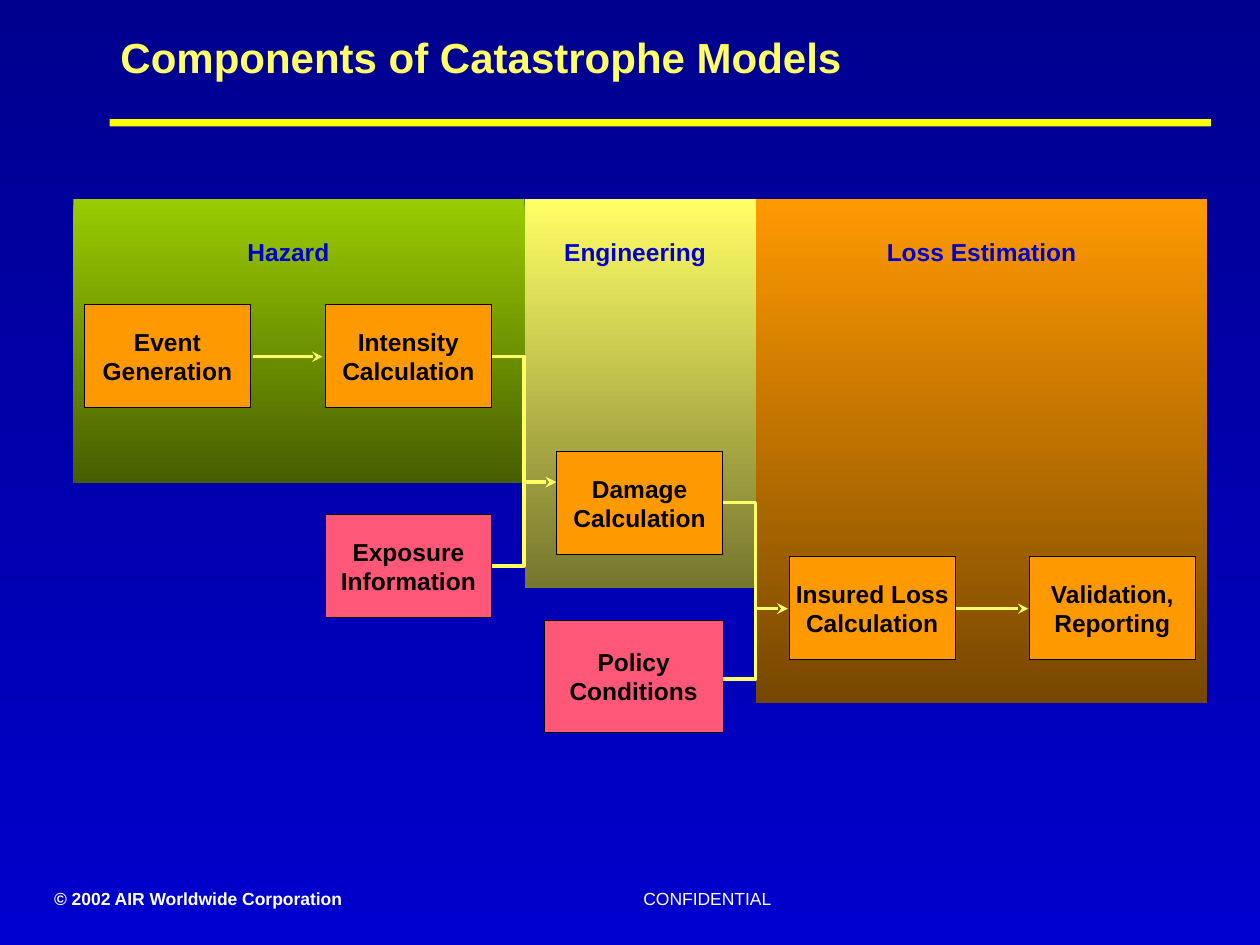
from typing import NamedTuple

from lxml.etree import SubElement
from pptx import Presentation
from pptx.dml.color import RGBColor
from pptx.enum.shapes import MSO_CONNECTOR, MSO_SHAPE
from pptx.enum.text import MSO_ANCHOR, PP_ALIGN
from pptx.oxml.ns import qn
from pptx.util import Cm, Pt

NAVY = RGBColor(0x00, 0x00, 0x8E)
BLUE = RGBColor(0x00, 0x00, 0xCC)
YELLOW = RGBColor(0xFF, 0xFF, 0x00)
PALE_YELLOW = RGBColor(0xFF, 0xFF, 0x66)
OLIVE = RGBColor(0x76, 0x76, 0x2F)
LIME = RGBColor(0x99, 0xCC, 0x00)
DARK_GREEN = RGBColor(0x47, 0x5E, 0x00)
ORANGE = RGBColor(0xFF, 0x99, 0x00)
BROWN = RGBColor(0x76, 0x47, 0x00)
PINK = RGBColor(0xFF, 0x57, 0x77)
BLACK = RGBColor(0x00, 0x00, 0x00)
WHITE = RGBColor(0xFF, 0xFF, 0xFF)

FONT = "Arial"
STEP_WIDTH, STEP_HEIGHT = 3.35, 2.08
PANEL_TOP = 4.02
HEADING_TOP, HEADING_HEIGHT = 4.65, 0.86
FOOTER_TOP, FOOTER_HEIGHT = 17.78, 0.69


class Panel(NamedTuple):
    left: float
    width: float
    height: float
    upper: RGBColor
    lower: RGBColor


class Step(NamedTuple):
    lines: tuple[str, ...]
    left: float
    top: float
    color: RGBColor = ORANGE
    width: float = STEP_WIDTH
    height: float = STEP_HEIGHT


class Label(NamedTuple):
    text: str
    left: float
    top: float
    width: float
    height: float
    size: float
    color: RGBColor
    bold: bool = True
    align: PP_ALIGN = PP_ALIGN.LEFT
    anchor: MSO_ANCHOR = MSO_ANCHOR.TOP


class Flow(NamedTuple):
    start_x: float
    start_y: float
    end_x: float
    end_y: float


PANELS = (
    Panel(15.24, 9.1, 10.16, ORANGE, BROWN),
    Panel(1.48, 9.1, 5.72, LIME, DARK_GREEN),
    Panel(10.58, 4.66, 7.83, PALE_YELLOW, OLIVE),
)
STEPS = (
    Step(("Event", "Generation"), 1.7, 6.14),
    Step(("Intensity", "Calculation"), 6.56, 6.14),
    Step(("Exposure", "Information"), 6.56, 10.37, PINK),
    Step(("Damage", "Calculation"), 11.22, 9.1),
    Step(("Policy", "Conditions"), 10.97, 12.5, PINK, 3.61, 2.27),
    Step(("Insured Loss", "Calculation"), 15.91, 11.22),
    Step(("Validation,", "Reporting"), 20.75, 11.22),
)
STRAIGHT_FLOWS = (
    Flow(5.1, 7.19, 6.5, 7.19),
    Flow(19.28, 12.27, 20.73, 12.27),
)
BENT_FLOWS = (
    Flow(14.58, 13.69, 15.88, 12.27),
    Flow(14.58, 10.13, 15.88, 12.27),
    Flow(9.91, 11.41, 11.21, 9.72),
    Flow(9.91, 7.19, 11.21, 9.72),
)
HEADINGS = (("Engineering", 11.0, 3.61), ("Hazard", 4.01, 3.61), ("Loss Estimation", 15.88, 7.82))
LABELS = (
    Label("© 2002 AIR Worldwide Corporation", 0.84, FOOTER_TOP, 6.63, FOOTER_HEIGHT, 10, WHITE),
    Label("CONFIDENTIAL", 12.51, FOOTER_TOP, 3.5, FOOTER_HEIGHT, 10, WHITE,
          bold=False, align=PP_ALIGN.CENTER),
    Label("Components of Catastrophe Models", 2.18, 0, 22.38, 2.29, 24, PALE_YELLOW,
          anchor=MSO_ANCHOR.MIDDLE),
) + tuple(
    Label(text, left, HEADING_TOP, width, HEADING_HEIGHT, 14, BLUE, align=PP_ALIGN.CENTER)
    for text, left, width in HEADINGS
)


def fill_gradient(fill, upper: RGBColor, lower: RGBColor) -> None:
    fill.gradient()
    fill.gradient_angle = 270
    for stop, position, color in zip(fill.gradient_stops, (0, 1), (upper, lower)):
        stop.position = position
        stop.color.rgb = color


def add_rectangle(page, left: float, top: float, width: float, height: float):
    box = page.shapes.add_shape(MSO_SHAPE.RECTANGLE, Cm(left), Cm(top), Cm(width), Cm(height))
    box.shadow.inherit = False
    box.line.fill.background()
    return box


def write_span(para, text: str, size: float, color: RGBColor, bold: bool) -> None:
    span = para.add_run()
    span.text = text
    span.font.name = FONT
    span.font.size = Pt(size)
    span.font.bold = bold
    span.font.color.rgb = color


def draw_rule(page) -> None:
    rule = add_rectangle(page, 2.21, 2.4, 22.2, 0.15)
    rule.fill.solid()
    rule.fill.fore_color.rgb = YELLOW


def draw_panel(page, panel: Panel) -> None:
    box = add_rectangle(page, panel.left, PANEL_TOP, panel.width, panel.height)
    fill_gradient(box.fill, panel.upper, panel.lower)


def draw_step(page, step: Step) -> None:
    box = add_rectangle(page, step.left, step.top, step.width, step.height)
    box.fill.solid()
    box.fill.fore_color.rgb = step.color
    box.line.color.rgb = BLACK
    box.line.width = Pt(0.25)
    frame = box.text_frame
    frame.word_wrap = False
    frame.vertical_anchor = MSO_ANCHOR.MIDDLE
    for index, line in enumerate(step.lines):
        para = frame.add_paragraph() if index else frame.paragraphs[0]
        para.alignment = PP_ALIGN.CENTER
        write_span(para, line, 14, BLACK, True)


def draw_label(page, label: Label) -> None:
    box = page.shapes.add_textbox(Cm(label.left), Cm(label.top), Cm(label.width), Cm(label.height))
    frame = box.text_frame
    frame.word_wrap = True
    frame.vertical_anchor = label.anchor
    para = frame.paragraphs[0]
    para.alignment = label.align
    write_span(para, label.text, label.size, label.color, label.bold)


def style_arrow(line) -> None:
    line.color.rgb = PALE_YELLOW
    line.width = Pt(2)
    SubElement(line._get_or_add_ln(), qn("a:tailEnd"), type="stealth")


def draw_straight_flow(page, flow: Flow) -> None:
    arrow = page.shapes.add_connector(MSO_CONNECTOR.STRAIGHT, *(Cm(value) for value in flow))
    style_arrow(arrow.line)
    SubElement(arrow._element.spPr, qn("a:effectLst"))


def draw_bent_flow(page, flow: Flow) -> None:
    start_x, start_y, end_x, end_y = (Cm(value) for value in flow)
    middle_x = (start_x + end_x) // 2
    builder = page.shapes.build_freeform(start_x, start_y)
    builder.add_line_segments(
        [(middle_x, start_y), (middle_x, end_y), (end_x, end_y)], close=False
    )
    arrow = builder.convert_to_shape()
    arrow.shadow.inherit = False
    arrow.fill.background()
    style_arrow(arrow.line)


def main() -> None:
    deck = Presentation()
    deck.slide_width, deck.slide_height = Cm(25.4), Cm(19.05)
    page = deck.slides.add_slide(deck.slide_layouts[6])
    fill_gradient(page.background.fill, NAVY, BLUE)
    draw_rule(page)
    for panel in PANELS:
        draw_panel(page, panel)
    for step in STEPS:
        draw_step(page, step)
    for flow in STRAIGHT_FLOWS:
        draw_straight_flow(page, flow)
    for flow in BENT_FLOWS:
        draw_bent_flow(page, flow)
    for label in LABELS:
        draw_label(page, label)
    deck.save("out.pptx")


if __name__ == "__main__":
    main()
